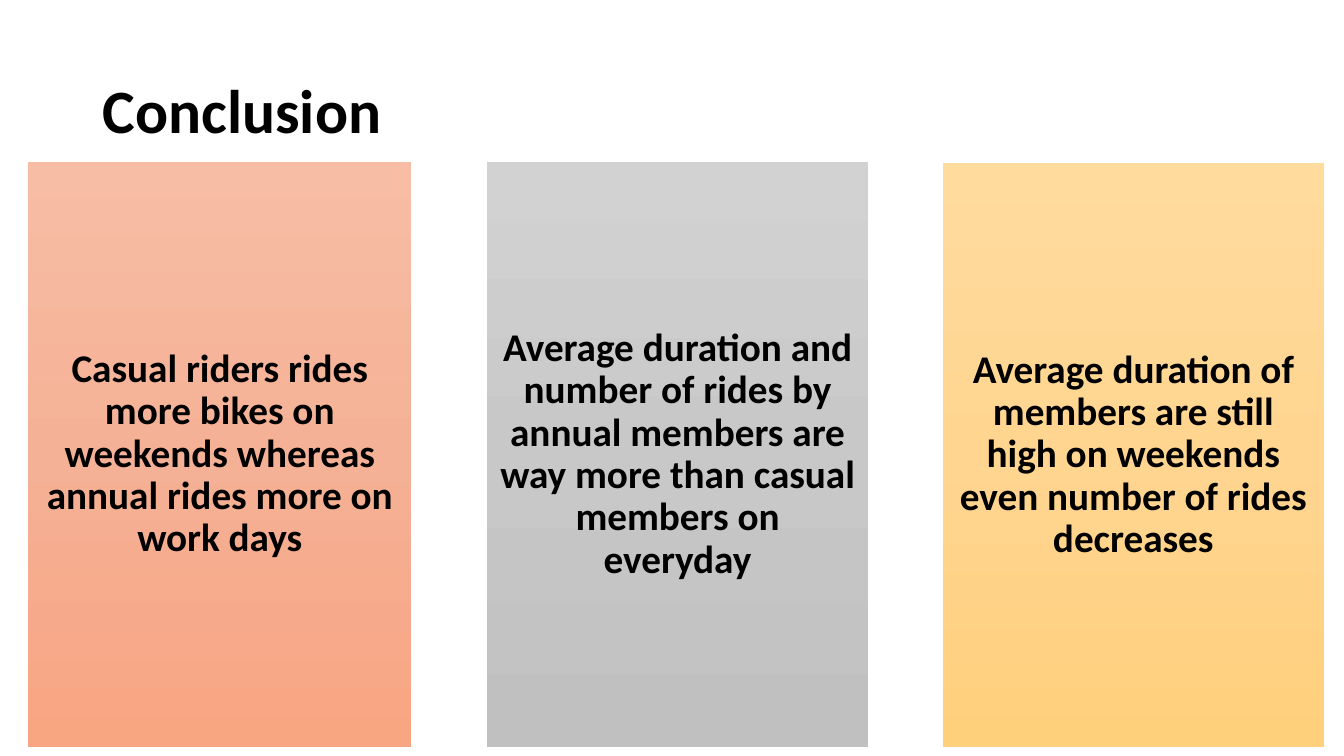
from copy import deepcopy
from pptx import Presentation
from pptx.dml.color import RGBColor
from pptx.enum.shapes import MSO_SHAPE as Shape
from pptx.enum.text import MSO_ANCHOR as Anchor, PP_ALIGN as Align
from pptx.util import Inches, Pt


def paint(color, code):
    color.rgb = RGBColor.from_string(code)


def write(frame, text, size, align):
    frame.text = text
    frame.word_wrap = True
    frame.vertical_anchor = Anchor.MIDDLE
    para = frame.paragraphs[0]
    para.alignment = align
    para.line_spacing = 0.9
    font = para.runs[0].font
    for key, value in {"name": "Calibri", "size": Pt(size), "bold": True}.items():
        setattr(font, key, value)
    paint(font.color, "000000")


deck = Presentation()
deck.slide_width = Inches(13.33)
deck.slide_height = Inches(7.5)
slide = deck.slides.add_slide(deck.slide_layouts[5])

title = slide.shapes.title
title.left, title.top, title.width, title.height = map(Inches, (0.92, 0.4, 11.5, 1.45))
write(title.text_frame, "Conclusion", 44, Align.LEFT)

cards = [
    (0.28, 1.61, 3.8, 5.8, ("F7BDA5", "F5B196", "F8A582"),
     "Casual riders rides more bikes on weekends whereas annual rides more on work days"),
    (4.83, 1.61, 3.78, 5.8, ("D2D2D2", "C8C8C8", "C0C0C0"),
     "Average duration and number of rides by annual members are way more than "
     "casual members on everyday"),
    (9.35, 1.62, 3.78, 5.79, ("FFDB9E", "FFD590", "FFD07C"),
     "Average duration of members are still high on weekends even number of rides decreases"),
]
for left, top, width, height, shades, text in cards:
    card = slide.shapes.add_shape(Shape.RECTANGLE, *map(Inches, (left, top, width, height)))
    card.shadow.inherit = False
    card.line.fill.background()
    card.fill.gradient()
    card.fill.gradient_angle = 270
    first = card.element.xpath(".//a:gs")[0]
    middle = deepcopy(first)
    middle.set("pos", "50000")
    first.addnext(middle)
    for stop, shade in zip(card.fill.gradient_stops, shades):
        paint(stop.color, shade)
    frame = card.text_frame
    for side in ("left", "top", "right", "bottom"):
        setattr(frame, "margin_" + side, Inches(0.12))
    write(frame, text, 28, Align.CENTER)

deck.save("out.pptx")
